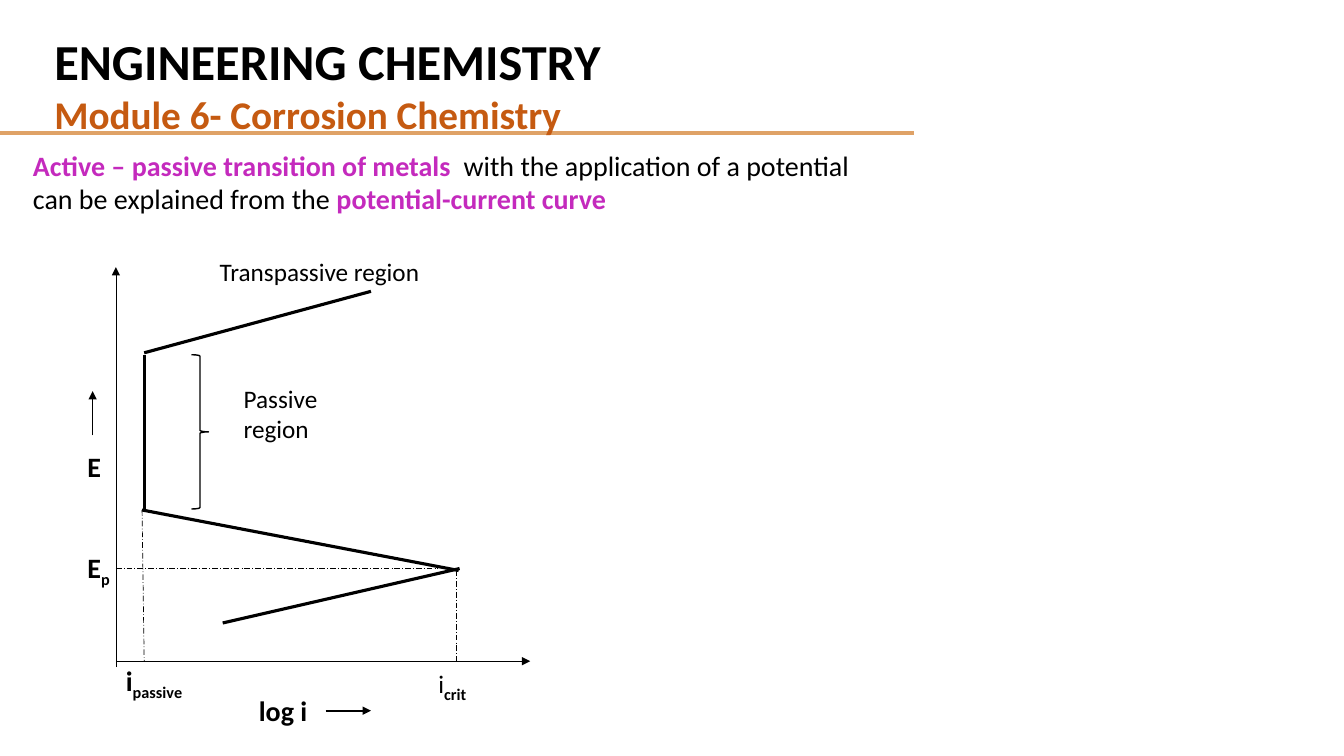
from lxml import etree
from pptx import Presentation
from pptx.dml.color import RGBColor
from pptx.enum import dml, shapes, text
from pptx.oxml import ns
from pptx.util import Pt

COLORS = {"black": "000000", "rule": "DFA267", "module": "C55A11", "accent": "C42ABD"}

deck = Presentation()
deck.slide_width, deck.slide_height = Pt(960), Pt(540)
page = deck.slides.add_slide(deck.slide_layouts[6])


def write(para, words, size=20, color="black", bold=False, sub=False):
    span = para.add_run()
    span.text = words
    span.font.name = "Calibri"
    span.font.size = Pt(size)
    span.font.bold = bold
    span.font.color.rgb = RGBColor.from_string(COLORS[color])
    if sub:
        span._r.get_or_add_rPr().set("baseline", "-25000")


def draw_line(start, end, width, color="black", arrow=False, dashed=False):
    line = page.shapes.add_connector(
        shapes.MSO_CONNECTOR.STRAIGHT, *[Pt(value) for value in (*start, *end)])
    line.line.width = Pt(width)
    line.line.color.rgb = RGBColor.from_string(COLORS[color])
    if dashed:
        line.line.dash_style = dml.MSO_LINE.LONG_DASH_DOT
    if arrow:
        etree.SubElement(line.line._get_or_add_ln(), ns.qn("a:tailEnd"), type="triangle")
    etree.SubElement(line._element.spPr, ns.qn("a:effectLst"))


# Rule under the title
draw_line((-0.7, 95), (653, 95), 3, color="rule")

# Axes
axis_x, axis_y = 82.8, 472.3
draw_line((axis_x, 476.6), (axis_x, 190.8), 0.5, arrow=True)
draw_line((axis_x, axis_y), (378.7, axis_y), 0.5, arrow=True)

# Polarisation curve, from active to transpassive
curve = [
    ((159.1, 445), (328.3, 406.1)),
    ((327.6, 407.5), (101.5, 364.3)),
    ((103, 363.6), (103, 253.4)),
    ((103, 252), (265, 208.1)),
]
for start, end in curve:
    draw_line(start, end, 2.25)

# Guides to the axes
guides = [
    ((axis_x, 406.1), (313.2, 406.1)),
    ((326.2, 407.5), (326.2, axis_y)),
    ((101.5, 364.3), (103, axis_y)),
]
for start, end in guides:
    draw_line(start, end, 0.5, dashed=True)

# Axis direction arrows
draw_line((66.2, 311), (66.2, 279.4), 1, arrow=True)
draw_line((232.6, 507.6), (265, 507.6), 1.5, arrow=True)

# Brace of the passive region
brace = page.shapes.add_shape(
    shapes.MSO_SHAPE.RIGHT_BRACE, Pt(136.8), Pt(253.4), Pt(12.2), Pt(110.2))
brace.shadow.inherit = False
brace.fill.background()
brace.line.width = Pt(1)
brace.line.color.rgb = RGBColor.from_string(COLORS["black"])

# Text boxes: frame, then paragraphs made of (words, format) spans
strong = {"bold": True}
subscript = {"bold": True, "sub": True}
accent = {"bold": True, "color": "accent"}
label = {"size": 18}
boxes = [
    ((31.7, 18, 630, 85), [
        [("ENGINEERING CHEMISTRY", {"size": 36, "bold": True})],
        [("Module 6- Corrosion Chemistry", {"size": 28, "bold": True, "color": "module"})]]),
    ((16.4, 102.2, 622.8, 55.4), [[
        ("Active – passive transition of metals  ", accent),
        ("with the application of a potential can be explained from the ", {}),
        ("potential-current curve", accent)]]),
    ((167, 270, 108, 51), [[("Passive region", label)]]),
    ((149.8, 179.3, 162, 29), [[("Transpassive region", label)]]),
    ((55.4, 317.5, 42.5, 104.4), [[("E", strong)], [("E", strong), ("p", subscript)]]),
    ((177.8, 491.8, 73.4, 31.5), [[("log i", strong)]]),
    ((306, 471.6, 64.8, 29), [[("i", label), ("crit", subscript)]]),
    ((82.8, 470.2, 82, 31.5), [[("i", strong), ("passive", subscript)]]),
]
potential_gap = 48  # two lines between E and Ep
for frame, paragraphs in boxes:
    box = page.shapes.add_textbox(*[Pt(value) for value in frame])
    box.text_frame.word_wrap = True
    box.text_frame.auto_size = text.MSO_AUTO_SIZE.SHAPE_TO_FIT_TEXT
    for index, spans in enumerate(paragraphs):
        para = box.text_frame.add_paragraph() if index else box.text_frame.paragraphs[0]
        if index and spans[0][0] == "E":
            para.space_before = Pt(potential_gap)
        for words, style in spans:
            write(para, words, **style)

deck.save("out.pptx")
